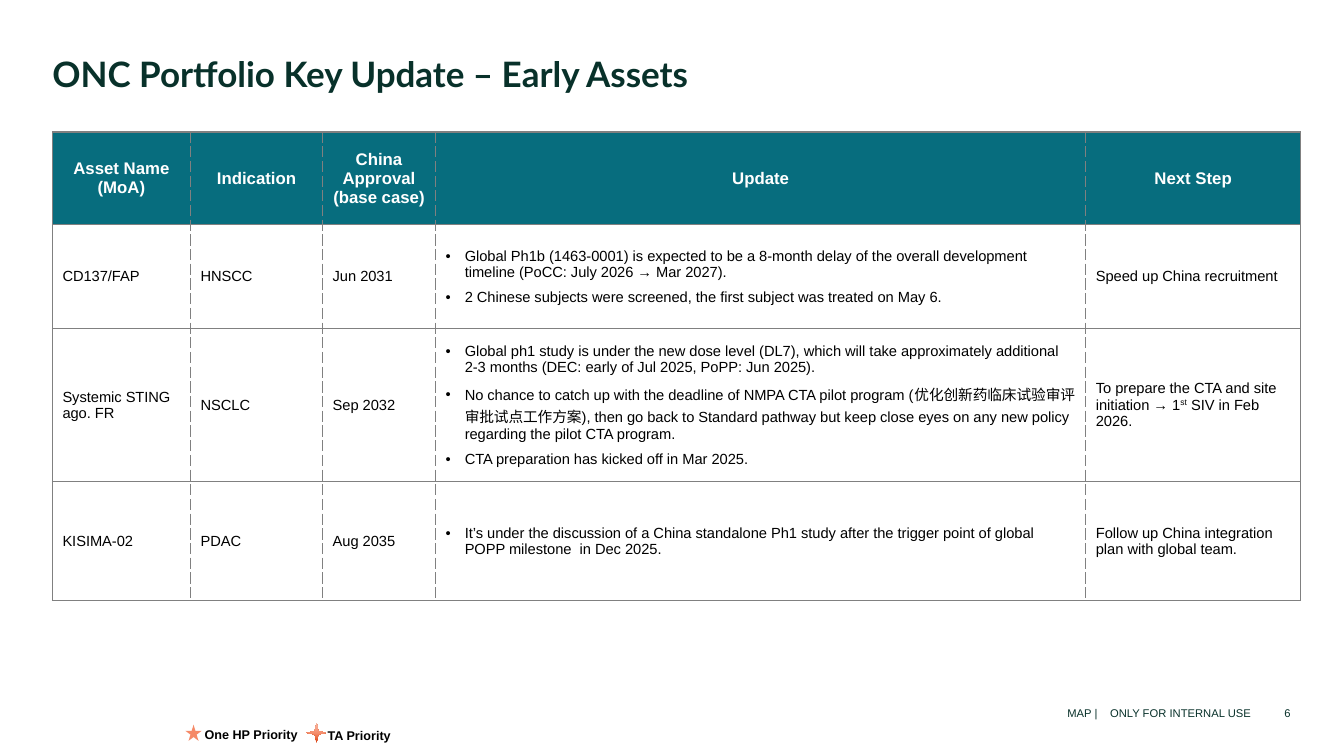
from dataclasses import dataclass

from lxml.etree import SubElement
from pptx import Presentation
from pptx.dml.color import RGBColor
from pptx.enum.shapes import MSO_SHAPE as Shape
from pptx.enum.text import MSO_ANCHOR as Anchor, MSO_AUTO_SIZE as AutoSize, PP_ALIGN as Align
from pptx.oxml import parse_xml
from pptx.oxml.ns import nsdecls, qn
from pptx.util import Inches, Pt


@dataclass(frozen=True)
class Theme:
    ink: str = "08312A"
    header: str = "076D7E"
    white: str = "FFFFFF"
    black: str = "000000"
    rule: str = "808080"
    star: str = "F58A68"
    spark: tuple = ((0, "DB400F"), (48, "F58E6D"), (100, "F9B9A4"))
    title_font: str = "Lato"
    font: str = "Arial"
    title_size: float = 25
    header_size: float = 12
    body_size: float = 10.5
    legend_size: float = 9
    footer_size: float = 8


@dataclass(frozen=True)
class Span:
    """A stretch of text with raised baseline (percent) or letter spacing (points)."""
    text: str
    raised: int = 0
    spacing: float = 0


@dataclass(frozen=True)
class Asset:
    name: str
    indication: str
    approval: str
    updates: tuple
    next_step: tuple
    height: float


@dataclass(frozen=True)
class Label:
    paragraph: tuple
    box: tuple
    size: float
    color: str
    bold: bool = False
    align: Align = Align.LEFT
    anchor: Anchor = Anchor.TOP
    wrap: bool = True
    line_spacing: float | None = None


T = Theme()
COLUMNS = (1.37, 1.31, 1.12, 6.45, 2.13)
HEADER_HEIGHT = 0.92
HEADERS = (("Asset Name (MoA)",), ("Indication",), ("China Approval", "(base case)"),
           ("Update",), ("Next Step",))
ASSETS = (
    Asset("CD137/FAP", "HNSCC", "Jun 2031", (
        "Global Ph1b (1463-0001) is expected to be a 8-month delay of the overall development "
        "timeline (PoCC: July 2026 → Mar 2027).",
        "2 Chinese subjects were screened, the first subject was treated on May 6.",
    ), (Span("Speed up China recruitment"),), 1.03),
    Asset("Systemic STING ago. FR", "NSCLC", "Sep 2032", (
        "Global ph1 study is under the new dose level (DL7), which will take approximately "
        "additional 2-3 months (DEC: early of Jul 2025, PoPP: Jun 2025).",
        "No chance to catch up with the deadline of NMPA CTA pilot program "
        "(优化创新药临床试验审评审批试点工作方案), then go back to Standard pathway "
        "but keep close eyes on any new policy regarding the pilot CTA program.",
        "CTA preparation has kicked off in Mar 2025.",
    ), (Span("To prepare the CTA and site initiation → 1"), Span("st", raised=30),
        Span(" SIV in Feb 2026.")), 1.52),
    Asset("KISIMA-02", "PDAC", "Aug 2035", (
        "It’s under the discussion of a China standalone Ph1 study after the trigger point of "
        "global POPP milestone  in Dec 2025.",
    ), (Span("Follow up China integration plan with global team."),), 1.18),
)
LABELS = (
    Label((Span("MAP |"), Span(" ", spacing=6.67), Span("ONLY FOR INTERNAL USE")),
          (6.9, 6.83, 5.51, 0.31), T.footer_size, T.ink, align=Align.RIGHT, anchor=Anchor.BOTTOM),
    Label((Span("6"),), (12.49, 6.83, 0.31, 0.31), T.footer_size, T.ink,
          align=Align.RIGHT, anchor=Anchor.BOTTOM),
    Label((Span("One HP Priority"),), (2.03, 7.15, 0.94, 0.19), T.legend_size, T.black,
          bold=True, wrap=False, line_spacing=1.4),
    Label((Span("TA Priority"),), (3.25, 7.16, 0.65, 0.19), T.legend_size, T.black,
          bold=True, wrap=False, line_spacing=1.4),
)


def write(tf, paragraphs, *, size: float, color: str, font: str = T.font, bold: bool = False,
          align: Align = Align.LEFT, after: float = 0, bullet: bool = False,
          line_spacing: float | None = None) -> None:
    """Fill a text frame; each paragraph is a string or a tuple of spans."""
    for i, paragraph in enumerate(paragraphs):
        p = tf.add_paragraph() if i else tf.paragraphs[0]
        if bullet:
            pPr = p._p.get_or_add_pPr()
            pPr.set("marL", str(Inches(0.19)))
            pPr.set("indent", str(-Inches(0.19)))
            SubElement(pPr, qn("a:buFont")).set("typeface", T.font)
            SubElement(pPr, qn("a:buChar")).set("char", "•")
        p.alignment = align
        p.space_after = Pt(after)
        if line_spacing:
            p.line_spacing = line_spacing
        for span in (Span(paragraph),) if isinstance(paragraph, str) else paragraph:
            r = p.add_run()
            r.text = span.text
            r.font.name, r.font.size, r.font.bold = font, Pt(size), bold
            r.font.color.rgb = RGBColor.from_string(color)
            rPr = r._r.get_or_add_rPr()
            if span.raised:
                rPr.set("baseline", str(span.raised * 1000))
            if span.spacing:
                rPr.set("spc", str(round(span.spacing * 100)))


def clear_margins(tf) -> None:
    tf.margin_left = tf.margin_top = tf.margin_right = tf.margin_bottom = 0


def add_title(s, text: str) -> None:
    title = s.shapes.title
    title.left, title.top, title.width, title.height = map(Inches, (0.52, 0.52, 12.28, 0.79))
    tf = title.text_frame
    clear_margins(tf)
    tf.auto_size = AutoSize.NONE
    tf.vertical_anchor = Anchor.TOP
    write(tf, (text,), size=T.title_size, color=T.ink, font=T.title_font, bold=True)


def add_label(s, label: Label) -> None:
    tf = s.shapes.add_textbox(*map(Inches, label.box)).text_frame
    clear_margins(tf)
    tf.word_wrap = label.wrap
    tf.auto_size = AutoSize.NONE if label.wrap else AutoSize.SHAPE_TO_FIT_TEXT
    tf.vertical_anchor = label.anchor
    write(tf, (label.paragraph,), size=label.size, color=label.color, bold=label.bold,
          align=label.align, line_spacing=label.line_spacing)


def set_borders(cell, column: int) -> None:
    """Solid rules around the table and between rows, dashed rules between columns."""
    dashes = {"lnL": column > 0, "lnR": column < len(COLUMNS) - 1, "lnT": False, "lnB": False}
    for side, dashed in dashes.items():
        cell._tc.get_or_add_tcPr().append(parse_xml(
            f'<a:{side} {nsdecls("a")} w="{Pt(1)}"><a:solidFill><a:srgbClr val="{T.rule}"/>'
            f'</a:solidFill><a:prstDash val="{"dash" if dashed else "solid"}"/></a:{side}>'))


def add_asset_table(s) -> None:
    heights = (HEADER_HEIGHT, *(asset.height for asset in ASSETS))
    table = s.shapes.add_table(len(heights), len(COLUMNS), Inches(0.52), Inches(1.31),
                               Inches(sum(COLUMNS)), Inches(sum(heights))).table
    table.horz_banding = False
    for column, width in zip(table.columns, COLUMNS):
        column.width = Inches(width)
    for row, height in zip(table.rows, heights):
        row.height = Inches(height)

    body = [((a.name,), (a.indication,), (a.approval,), a.updates, (a.next_step,)) for a in ASSETS]
    for i, contents in enumerate((HEADERS, *body)):
        for j, paragraphs in enumerate(contents):
            cell = table.cell(i, j)
            cell.vertical_anchor = Anchor.MIDDLE
            set_borders(cell, j)
            if i == 0:
                cell.fill.solid()
                cell.fill.fore_color.rgb = RGBColor.from_string(T.header)
                write(cell.text_frame, paragraphs, size=T.header_size, color=T.white,
                      bold=True, align=Align.CENTER)
            else:
                cell.fill.background()
                write(cell.text_frame, paragraphs, size=T.body_size, color=T.black,
                      after=6 if j >= 3 else 0, bullet=j == 3)


def add_marker(s, kind: Shape, left: float, top: float, size: float):
    sp = s.shapes.add_shape(kind, *map(Inches, (left, top, size, size)))
    sp.shadow.inherit = False
    sp.line.fill.background()
    sp.fill.solid()
    sp.fill.fore_color.rgb = RGBColor.from_string(T.star)
    return sp


def apply_gradient(sp, stops: tuple, angle: int) -> None:
    marks = "".join(f'<a:gs pos="{pos * 1000}"><a:srgbClr val="{color}"/></a:gs>'
                    for pos, color in stops)
    solid = sp._element.spPr.find(qn("a:solidFill"))
    solid.getparent().replace(solid, parse_xml(
        f'<a:gradFill {nsdecls("a")}><a:gsLst>{marks}</a:gsLst>'
        f'<a:lin ang="{angle * 60000}" scaled="0"/></a:gradFill>'))


def main() -> None:
    prs = Presentation()
    prs.slide_width, prs.slide_height = Inches(13.33), Inches(7.5)
    s = prs.slides.add_slide(prs.slide_layouts[5])
    add_title(s, "ONC Portfolio Key Update – Early Assets")
    add_asset_table(s)
    add_marker(s, Shape.STAR_5_POINT, 1.84, 7.19, 0.16)
    apply_gradient(add_marker(s, Shape.STAR_4_POINT, 3.04, 7.17, 0.2), T.spark, 270)
    for label in LABELS:
        add_label(s, label)
    prs.save("out.pptx")


if __name__ == "__main__":
    main()
